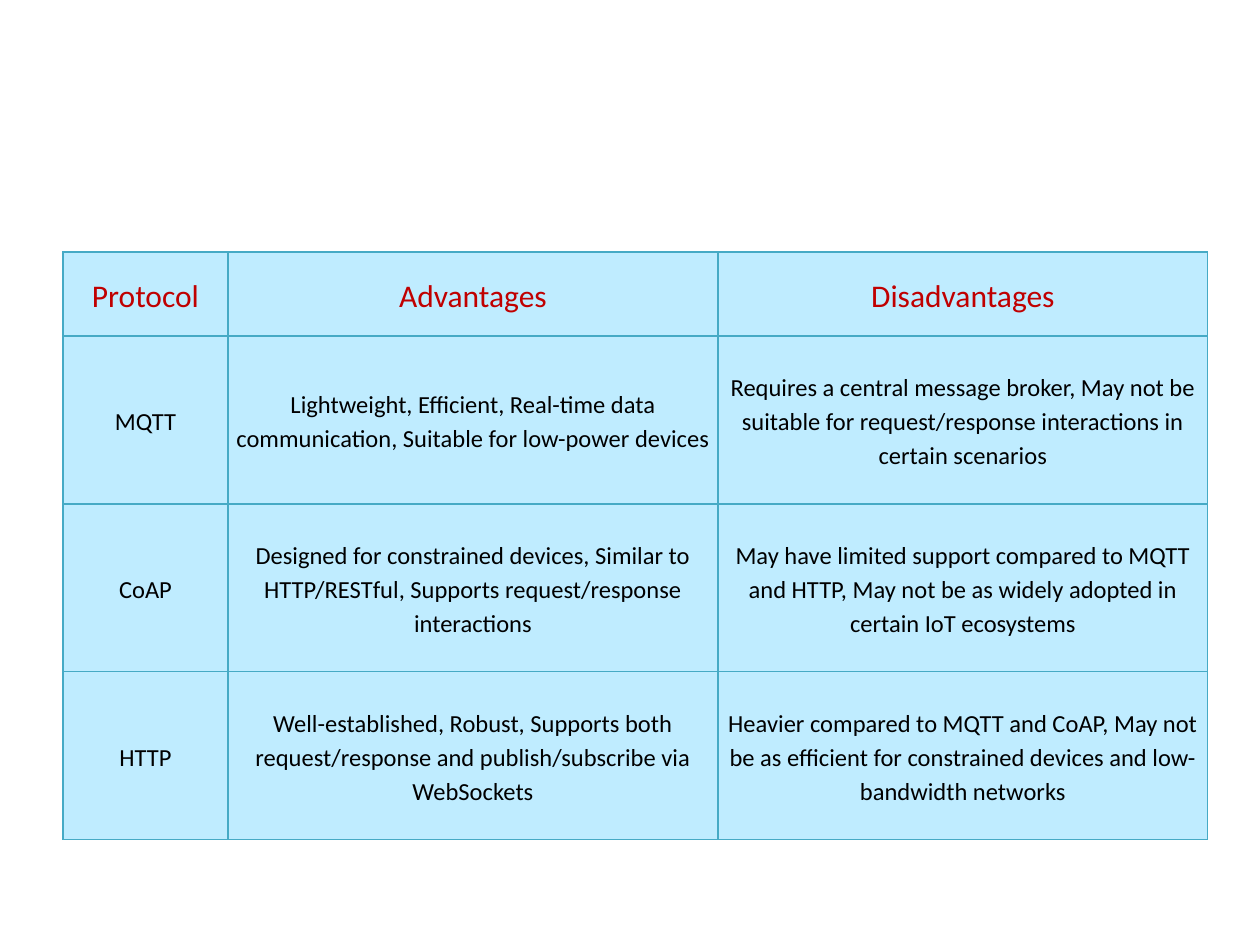
"""Build a slide with a table comparing IoT protocols."""
from lxml import etree
from pptx import Presentation
from pptx.dml.color import RGBColor
from pptx.enum import text
from pptx.oxml import ns
from pptx.util import Pt

ROWS = [
    ("Protocol", "Advantages", "Disadvantages"),
    ("MQTT",
     "Lightweight, Efficient, Real-time data communication, Suitable for low-power devices",
     "Requires a central message broker, May not be suitable for request/response "
     "interactions in certain scenarios"),
    ("CoAP",
     "Designed for constrained devices, Similar to HTTP/RESTful, Supports request/response "
     "interactions",
     "May have limited support compared to MQTT and HTTP, May not be as widely adopted in "
     "certain IoT ecosystems"),
    ("HTTP",
     "Well-established, Robust, Supports both request/response and publish/subscribe via "
     "WebSockets",
     "Heavier compared to MQTT and CoAP, May not be as efficient for constrained devices "
     "and low-bandwidth networks"),
]
WIDTHS = (165, 490, 490)
HEIGHTS = (84, 168, 168, 168)
LEFT, TOP = 63, 252
PAD = 1
RED = RGBColor(0xC0, 0x00, 0x00)
BLACK = RGBColor(0x00, 0x00, 0x00)
SKY = RGBColor(0xBF, 0xEC, 0xFF)
TEAL = RGBColor(0x46, 0xAA, 0xC5)


def px(n):
    return round(n * 914400 / 126)


def edge(cell):
    props = cell._tc.get_or_add_tcPr()
    for i, side in enumerate(("lnL", "lnR", "lnT", "lnB")):
        line = etree.Element(ns.qn("a:" + side), w=str(Pt(0.75)))
        fill = etree.SubElement(line, ns.qn("a:solidFill"))
        etree.SubElement(fill, ns.qn("a:srgbClr"), val=str(TEAL))
        props.insert(i, line)


def write(cell, words, size, color):
    cell.fill.solid()
    cell.fill.fore_color.rgb = SKY
    cell.margin_left = cell.margin_right = px(PAD)
    cell.margin_top = cell.margin_bottom = px(PAD)
    cell.vertical_anchor = text.MSO_ANCHOR.MIDDLE
    cell.text = words
    para = cell.text_frame.paragraphs[0]
    para.alignment = text.PP_ALIGN.CENTER
    para.line_spacing = 1.15
    para.space_before = para.space_after = Pt(24)
    font = para.font
    font.name, font.size, font.bold = "Calibri", Pt(size), False
    font.color.rgb = color
    edge(cell)


def main():
    deck = Presentation()
    deck.slide_width, deck.slide_height = px(1260), px(945)
    slide = deck.slides.add_slide(deck.slide_layouts[6])
    table = slide.shapes.add_table(
        len(ROWS), len(WIDTHS), px(LEFT), px(TOP), px(sum(WIDTHS)), px(sum(HEIGHTS))).table
    table.first_row = table.horz_banding = False
    for col, width in zip(table.columns, WIDTHS):
        col.width = px(width)
    for r, (row, height) in enumerate(zip(ROWS, HEIGHTS)):
        table.rows[r].height = px(height)
        size, color = (14, BLACK) if r else (18, RED)
        for c, words in enumerate(row):
            write(table.cell(r, c), words, size, color)
    deck.save("out.pptx")


if __name__ == "__main__":
    main()
